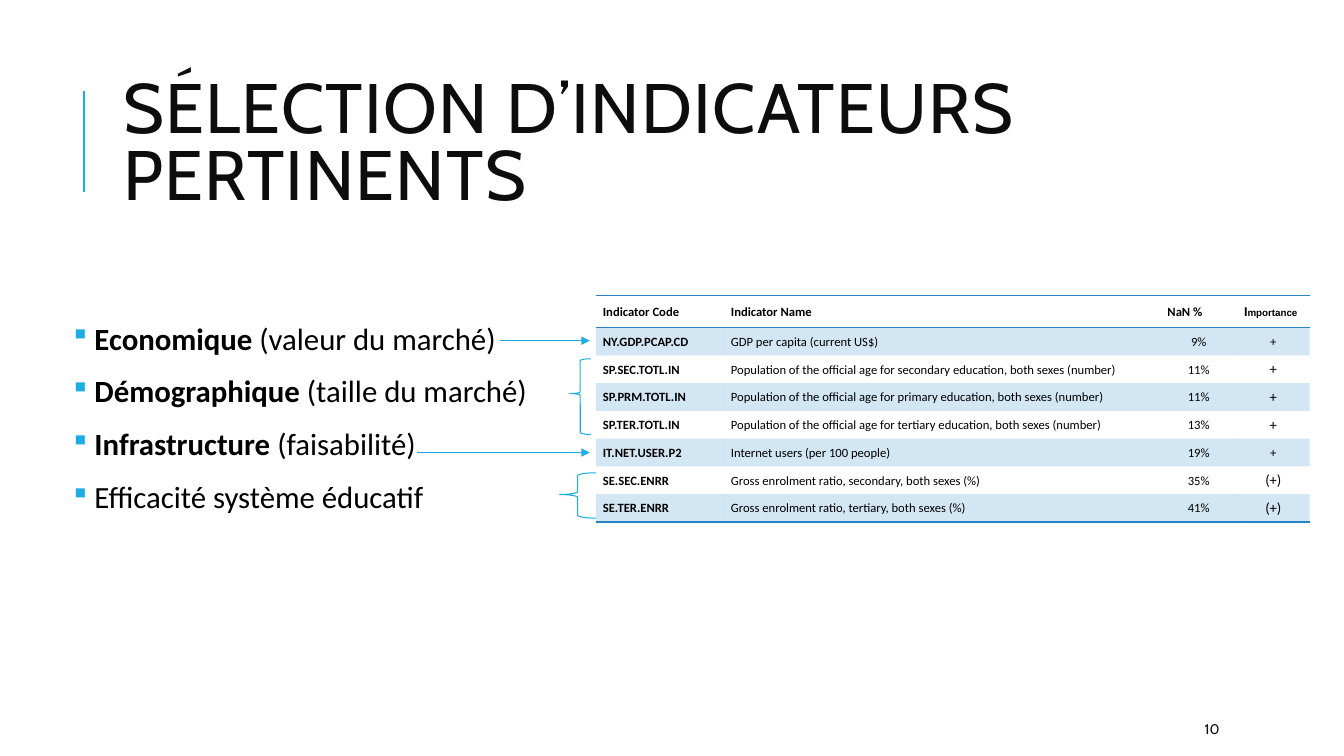
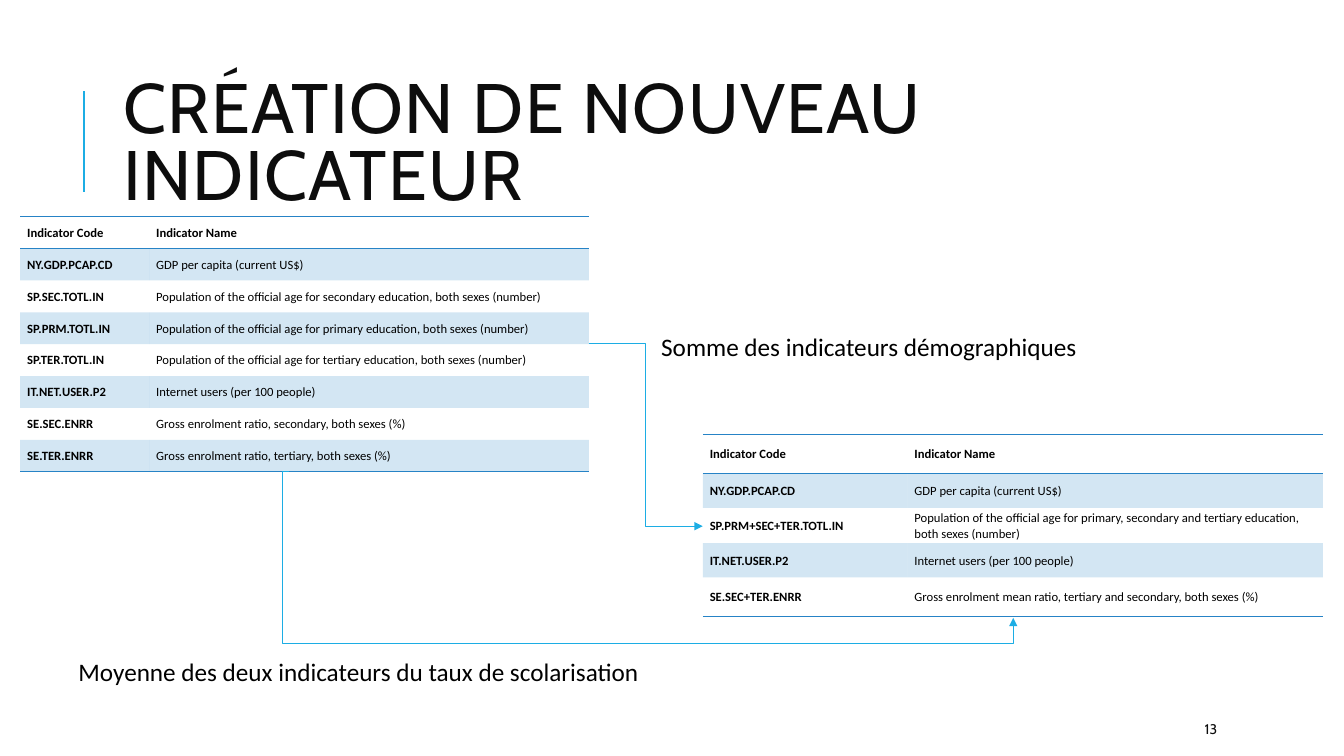
"""Build two slides on the choice and the merging of indicators."""
from dataclasses import dataclass

from lxml import etree
from pptx import Presentation
from pptx.dml.color import RGBColor
from pptx.enum.shapes import MSO_CONNECTOR, MSO_SHAPE
from pptx.enum.text import MSO_ANCHOR, MSO_AUTO_SIZE, PP_ALIGN
from pptx.oxml.ns import qn
from pptx.util import Inches, Pt

STRAIGHT = MSO_CONNECTOR.STRAIGHT
ELBOW = MSO_CONNECTOR.ELBOW
BRACE = MSO_SHAPE.LEFT_BRACE
MIDDLE = MSO_ANCHOR.MIDDLE
FIXED = MSO_AUTO_SIZE.NONE
LEFT = PP_ALIGN.LEFT
CENTER = PP_ALIGN.CENTER

COLORS = {"accent": "1CADE4", "table": "2683C6", "title": "0D0D0D", "text": "000000"}
BODY = "Calibri"
HEAD = "Cabin"
PLAIN = "{2D5ABB26-0587-4C30-8999-92F81FD0307C}"


@dataclass
class Row:
    code: str
    name: str
    gap: str = ""
    mark: str = ""
    size: float = 10.5


@dataclass
class Grid:
    left: float
    top: float
    cols: list[float]
    tall: list[float]
    rows: list[Row]


@dataclass
class Line:
    start: tuple[float, float]
    end: tuple[float, float]
    kind: int = STRAIGHT


@dataclass
class Brace:
    box: tuple[float, float, float, float]
    tip: float


@dataclass
class Point:
    head: str
    tail: str = ""


TOP = Row("Indicator Code", "Indicator Name", "NaN %", "Importance")
GDP = Row("NY.GDP.PCAP.CD", "GDP per capita (current US$)", "9%", "+", 9)
NET = Row("IT.NET.USER.P2", "Internet users (per 100 people)", "19%", "+", 9)
AGE = "Population of the official age for {} education, both sexes (number)"
RATIO = "Gross enrolment {}, both sexes (%)"
FULL = [
    TOP,
    GDP,
    Row("SP.SEC.TOTL.IN", AGE.format("secondary"), "11%", "+"),
    Row("SP.PRM.TOTL.IN", AGE.format("primary"), "11%", "+"),
    Row("SP.TER.TOTL.IN", AGE.format("tertiary"), "13%", "+"),
    NET,
    Row("SE.SEC.ENRR", RATIO.format("ratio, secondary"), "35%", "(+)"),
    Row("SE.TER.ENRR", RATIO.format("ratio, tertiary"), "41%", "(+)"),
]
MERGED = [
    TOP,
    GDP,
    Row("SP.PRM+SEC+TER.TOTL.IN", AGE.format("primary, secondary and tertiary")),
    NET,
    Row("SE.SEC+TER.ENRR", RATIO.format("mean ratio, tertiary and secondary")),
]
CHOICE = Grid(5.91, 2.93, [1.27, 4.33, 0.76, 0.72], [0.32] + [1.93 / 7] * 7, FULL)
BEFORE = Grid(0.2, 2.15, [1.28, 4.36], [2.53 / 8] * 8, FULL)
AFTER = Grid(6.97, 4.31, [2.03, 4.12], [0.39, 0.34, 0.35, 0.34, 0.39], MERGED)
POINTS = [
    Point(" Economique ", "(valeur du marché)"),
    Point(" Démographique", " (taille du marché)"),
    Point(" Infrastructure", " (faisabilité)"),
    Point(" Efficacité système éducatif"),
]
ARROWS = [Line((4.96, 3.38), (5.85, 3.38)), Line((4.14, 4.49), (5.85, 4.49))]
BRACES = [Brace((5.65, 3.56, 0.21, 0.75), 0.46), Brace((5.55, 4.69, 0.36, 0.45), 0.48)]


def paint(name: str) -> RGBColor:
    return RGBColor.from_string(COLORS[name])


def style(font, face: str, size: float, color: str = "text", bold: bool = False) -> None:
    font.name, font.size, font.bold = face, Pt(size), bold
    font.color.rgb = paint(color)


def add_text(slide, box: tuple[float, float, float, float], text: str = ""):
    frame = slide.shapes.add_textbox(*map(Inches, box)).text_frame
    frame.word_wrap = True
    frame.text = text
    return frame


def add_line(slide, line: Line, color: str = "accent", width: float = 0.75, arrow: bool = True):
    link = slide.shapes.add_connector(line.kind, *map(Inches, line.start + line.end))
    link.line.color.rgb = paint(color)
    link.line.width = Pt(width)
    props = link._element.spPr
    etree.SubElement(props, qn("a:effectLst"))
    if arrow:
        etree.SubElement(props.find(qn("a:ln")), qn("a:tailEnd"), type="triangle")
    return link


def bend(link, kind: str, *turns: int) -> None:
    shape = link._element.spPr.find(qn("a:prstGeom"))
    shape.set("prst", kind)
    guides = shape.find(qn("a:avLst"))
    for i, turn in enumerate(turns, 1):
        etree.SubElement(guides, qn("a:gd"), name=f"adj{i}", fmla=f"val {turn}")


def add_brace(slide, brace: Brace) -> None:
    shape = slide.shapes.add_shape(BRACE, *map(Inches, brace.box))
    shape.shadow.inherit = False
    shape.fill.background()
    shape.line.color.rgb = paint("accent")
    shape.line.width = Pt(0.75)
    shape.adjustments[0], shape.adjustments[1] = 0.08, brace.tip


def add_edge(cell, side: str) -> None:
    edge = etree.SubElement(cell._tc.get_or_add_tcPr(), qn(f"a:{side}"), w=str(Pt(1)))
    fill = etree.SubElement(edge, qn("a:solidFill"))
    etree.SubElement(fill, qn("a:srgbClr"), val=COLORS["table"])


def shade(cell) -> None:
    cell.fill.solid()
    cell.fill.fore_color.rgb = paint("table")
    tint = cell._tc.tcPr.find(f"{qn('a:solidFill')}/{qn('a:srgbClr')}")
    etree.SubElement(tint, qn("a:alpha"), val="20000")


def fill_cell(cell, text: str, row: int, col: int, size: float) -> None:
    cell.vertical_anchor = MIDDLE
    cell.margin_left = cell.margin_right = Inches(0.07)
    cell.margin_top = cell.margin_bottom = 0
    para = cell.text_frame.paragraphs[0]
    para.line_spacing, para.space_after = 1.07, Pt(8)
    para.alignment = CENTER if row and col > 1 else LEFT
    if row == 0 and col == 3:
        for part, points in ((text[:1], 9), (text[1:], 7)):
            run = para.add_run()
            run.text = part
            style(run.font, "Arial", points, bold=True)
    else:
        para.text = text
        style(para.font, BODY, size, bold=row == 0 or col == 0)


def add_grid(slide, grid: Grid) -> None:
    last = len(grid.rows) - 1
    spot = (grid.left, grid.top, sum(grid.cols), sum(grid.tall))
    table = slide.shapes.add_table(last + 1, len(grid.cols), *map(Inches, spot)).table
    table.first_row = table.horz_banding = False
    table._tbl.tblPr.find(qn("a:tableStyleId")).text = PLAIN
    for col, wide in zip(table.columns, grid.cols):
        col.width = Inches(wide)
    for i, (row, tall) in enumerate(zip(grid.rows, grid.tall)):
        table.rows[i].height = Inches(tall)
        texts = (row.code, row.name, row.gap, row.mark)
        for j, text in enumerate(texts[:len(grid.cols)]):
            cell = table.cell(i, j)
            fill_cell(cell, text, i, j, row.size if j == 3 else 9)
            if i == 0:
                add_edge(cell, "lnT")
            if i in (0, last):
                add_edge(cell, "lnB")
            if i % 2:
                shade(cell)
            else:
                cell.fill.background()


def add_bullet(para) -> None:
    props = para._p.get_or_add_pPr()
    props.set("marL", str(Inches(0.1)))
    props.set("indent", str(-Inches(0.1)))
    tint = etree.SubElement(props, qn("a:buClr"))
    etree.SubElement(tint, qn("a:srgbClr"), val=COLORS["accent"])
    etree.SubElement(props, qn("a:buFont"), typeface="Wingdings", pitchFamily="2", charset="2")
    etree.SubElement(props, qn("a:buChar"), char="§")


def add_points(slide, box: tuple[float, float, float, float], points: list[Point]) -> None:
    frame = add_text(slide, box)
    for i, point in enumerate(points):
        para = frame.add_paragraph() if i else frame.paragraphs[0]
        para.line_spacing, para.space_before, para.space_after = 0.9, Pt(12), Pt(2)
        add_bullet(para)
        style(para.font, BODY, 22)
        for text, bold in ((point.head, bool(point.tail)), (point.tail, False)):
            if text:
                run = para.add_run()
                run.text = text
                run.font.bold = bold


def add_note(slide, box: tuple[float, float, float, float], text: str):
    para = add_text(slide, box, text).paragraphs[0]
    style(para.font, BODY, 18)
    return para


def add_slide(deck, text: str, page: int):
    slide = deck.slides.add_slide(deck.slide_layouts[5])
    add_line(slide, Line((0.83, 1.9), (0.83, 0.9)), width=1.5, arrow=False)
    title = slide.shapes.title
    title.left, title.top = Inches(1.12), Inches(0.64)
    title.width, title.height = Inches(10.63), Inches(1.64)
    frame = title.text_frame
    frame.text = text
    frame.auto_size, frame.vertical_anchor = FIXED, MIDDLE
    para = frame.paragraphs[0]
    para.alignment, para.line_spacing = LEFT, 0.8
    style(para.font, HEAD, 50, "title")
    para.runs[0]._r.get_or_add_rPr().set("spc", "100")
    number = add_text(slide, (11.85, 7.08, 1.06, 0.3), str(page))
    number.vertical_anchor = MIDDLE
    style(number.paragraphs[0].font, HEAD, 10, "title")
    return slide


def add_choice(deck) -> None:
    slide = add_slide(deck, "SÉLECTION D’INDICATEURS PERTINENTS", 10)
    add_grid(slide, CHOICE)
    add_points(slide, (0.63, 3.16, 4.86, 2.02), POINTS)
    for line in ARROWS:
        add_line(slide, line)
    for brace in BRACES:
        add_brace(slide, brace)


def add_merge(deck) -> None:
    slide = add_slide(deck, "CRÉATION DE NOUVEAU INDICATEUR", 13)
    add_grid(slide, BEFORE)
    add_grid(slide, AFTER)
    add_line(slide, Line((5.84, 3.41), (6.97, 5.22), ELBOW))
    para = add_note(slide, (6.46, 3.22, 5.63, 0.41), "Somme des indicateurs démographiques")
    para.line_spacing, para.space_after = 1.07, Pt(8)
    link = add_line(slide, Line((2.87, 4.68), (10.05, 6.13), ELBOW))
    bend(link, "bentConnector4", -900, 117300)
    add_note(slide, (0.68, 6.46, 5.86, 0.4), "Moyenne des deux indicateurs du taux de scolarisation")


def main() -> None:
    deck = Presentation()
    deck.slide_width, deck.slide_height = Inches(13.33), Inches(7.5)
    add_choice(deck)
    add_merge(deck)
    deck.save("out.pptx")


if __name__ == "__main__":
    main()
